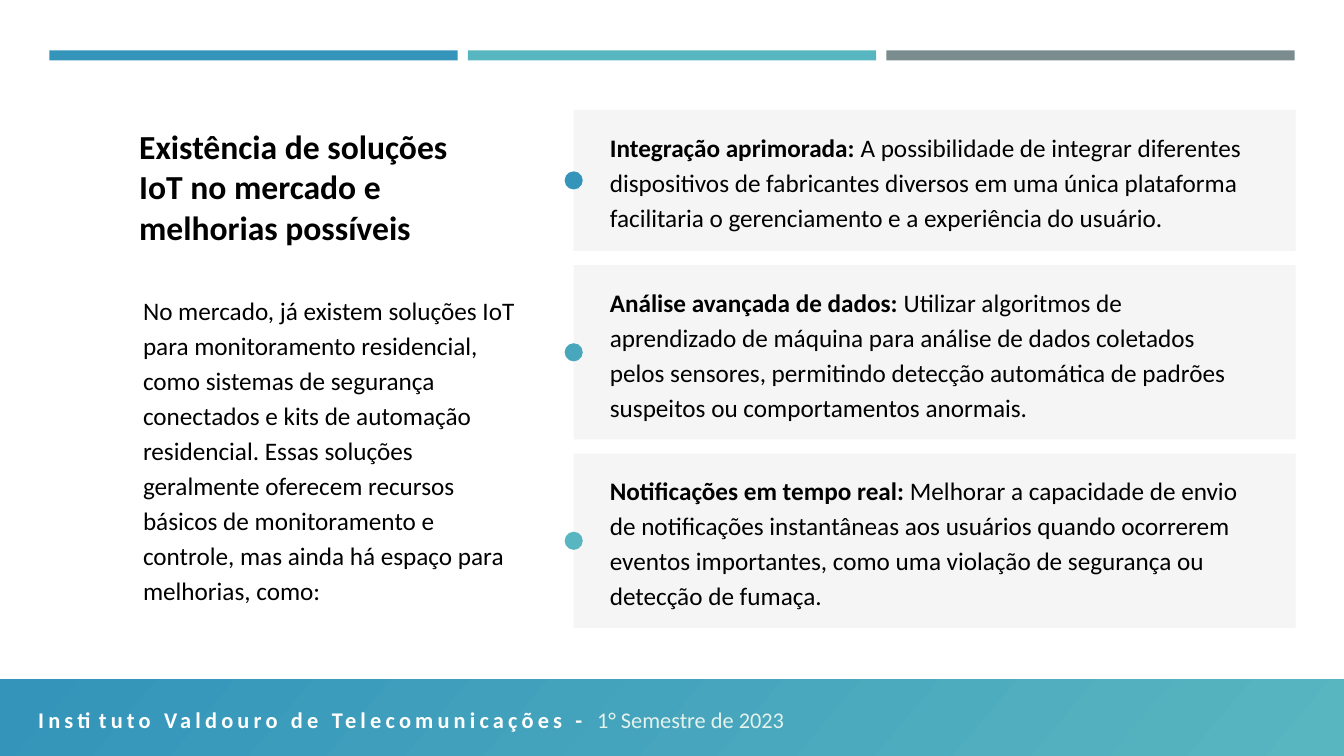
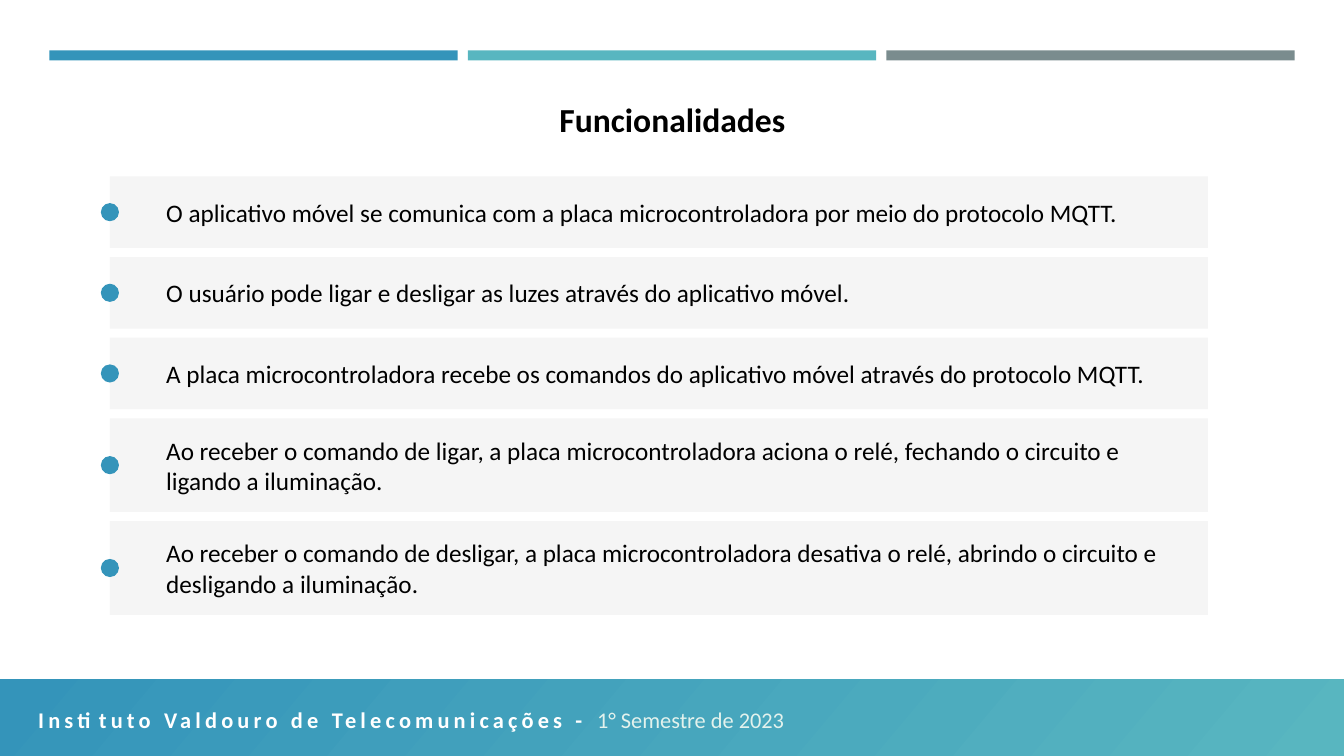
import dataclasses

import pptx
import pptx.dml.color
import pptx.enum.shapes
import pptx.enum.text
import pptx.util

Inches = pptx.util.Inches
Pt = pptx.util.Pt
Shape = pptx.enum.shapes.MSO_SHAPE
Align = pptx.enum.text.PP_ALIGN
Anchor = pptx.enum.text.MSO_ANCHOR


@dataclasses.dataclass(frozen=True)
class Theme:
    blue: str = "3494BA"
    blend: str = "48A7BD"
    teal: str = "58B6C0"
    gray: str = "7A8C8E"
    panel: str = "F5F5F5"
    ink: str = "000000"
    white: str = "FFFFFF"
    mint: str = "E3F2ED"
    font: str = "Calibri"
    title_size: int = 24
    body_size: int = 18
    footer_size: int = 16
    loose_line: int = 25


@dataclasses.dataclass(frozen=True)
class Grid:
    width: float = 13.33
    height: float = 7.5
    margin: float = 0.49
    gutter: float = 0.1
    columns: int = 3

    @property
    def column_width(self):
        inner = self.width - 2 * self.margin - (self.columns - 1) * self.gutter
        return inner / self.columns

    def column_left(self, index):
        return self.margin + index * (self.column_width + self.gutter)


@dataclasses.dataclass(frozen=True)
class CardStyle:
    """Geometry shared by one stack of cards."""
    left: float
    top: float
    width: float
    gap: float
    text_indent: float
    text_width: float
    line_points: int = 0


THEME = Theme()
GRID = Grid()
DOT = 0.18

FOOTER = ("Instituto Valdouro de Telecomunicações - ", "1° Semestre de 2023")
INTRO = (
    "No mercado, já existem soluções IoT para monitoramento residencial, como "
    "sistemas de segurança conectados e kits de automação residencial. Essas "
    "soluções geralmente oferecem recursos básicos de monitoramento e controle, "
    "mas ainda há espaço para melhorias, como:"
)

# Each card: height, dot colour, bold lead, body
IMPROVEMENTS = [
    (1.4, THEME.blue, "Integração aprimorada: ",
     "A possibilidade de integrar diferentes dispositivos de fabricantes diversos "
     "em uma única plataforma facilitaria o gerenciamento e a experiência do usuário."),
    (1.73, THEME.blend, "Análise avançada de dados: ",
     "Utilizar algoritmos de aprendizado de máquina para análise de dados coletados "
     "pelos sensores, permitindo detecção automática de padrões suspeitos ou "
     "comportamentos anormais."),
    (1.73, THEME.teal, "Notificações em tempo real: ",
     "Melhorar a capacidade de envio de notificações instantâneas aos usuários quando "
     "ocorrerem eventos importantes, como uma violação de segurança ou detecção de "
     "fumaça."),
]
FEATURES = [
    (0.71, THEME.blue, "",
     "O aplicativo móvel se comunica com a placa microcontroladora por meio do "
     "protocolo MQTT."),
    (0.71, THEME.blue, "",
     "O usuário pode ligar e desligar as luzes através do aplicativo móvel."),
    (0.71, THEME.blue, "",
     "A placa microcontroladora recebe os comandos do aplicativo móvel através do "
     "protocolo MQTT."),
    (0.93, THEME.blue, "",
     "Ao receber o comando de ligar, a placa microcontroladora aciona o relé, "
     "fechando o circuito e ligando a iluminação."),
    (0.93, THEME.blue, "",
     "Ao receber o comando de desligar, a placa microcontroladora desativa o relé, "
     "abrindo o circuito e desligando a iluminação."),
]


def rgb(value):
    return pptx.dml.color.RGBColor.from_string(value)


def place(box, left, top, width, height):
    box.left, box.top = Inches(left), Inches(top)
    box.width, box.height = Inches(width), Inches(height)


def format_span(span, size, color=THEME.ink, bold=False):
    span.font.name = THEME.font
    span.font.size = Pt(size)
    span.font.bold = bold
    span.font.color.rgb = rgb(color)


def add_span(para, text, size, color=THEME.ink, bold=False):
    span = para.add_run()
    span.text = text
    format_span(span, size, color, bold)
    return span


def add_solid(shapes, kind, area, color):
    shape = shapes.add_shape(kind, *map(Inches, area))
    shape.shadow.inherit = False
    shape.fill.solid()
    shape.fill.fore_color.rgb = rgb(color)
    shape.line.fill.background()
    return shape


def add_text_box(shapes, area, anchor=Anchor.TOP):
    box = shapes.add_textbox(*map(Inches, area))
    box.text_frame.word_wrap = True
    box.text_frame.vertical_anchor = anchor
    return box.text_frame.paragraphs[0]


def add_layout_bars(layout, slide):
    """Build the three top bars and move them to the layout behind all slides."""
    tree = layout.shapes.element
    for index, color in enumerate((THEME.blue, THEME.teal, THEME.gray)):
        area = (GRID.column_left(index), 0.5, GRID.column_width, 0.1)
        bar = add_solid(slide.shapes, Shape.RECTANGLE, area, color)
        bar.name = f"Top bar {index + 1}"
        bar.element.nvSpPr.cNvPr.set("id", str(100 + index))
        tree.append(bar.element)


def add_footer(slide):
    band_top = 6.74
    area = (0, band_top, GRID.width, GRID.height - band_top)
    band = add_solid(slide.shapes, Shape.RECTANGLE, area, THEME.blue)
    band.fill.gradient()
    band.fill.gradient_angle = 320
    for stop, color in zip(band.fill.gradient_stops, (THEME.blue, THEME.teal)):
        stop.color.rgb = rgb(color)

    para = add_text_box(slide.shapes, (0.28, 6.96, 10.92, 0.37))
    institute, term = FOOTER
    span = add_span(para, institute, THEME.footer_size, THEME.white, bold=True)
    span.font._element.set("spc", "300")
    add_span(para, term, THEME.footer_size, THEME.mint)


def set_title(slide, text, area, align):
    title = slide.shapes.title
    place(title, *area)
    frame = title.text_frame
    frame.text = text
    frame.word_wrap = True
    frame.auto_size = pptx.enum.text.MSO_AUTO_SIZE.NONE
    frame.vertical_anchor = Anchor.TOP
    para = frame.paragraphs[0]
    para.alignment = align
    format_span(para.runs[0], THEME.title_size, bold=True)


def add_card(slide, style, top, height, color, lead, body):
    shapes = slide.shapes.add_group_shape().shapes
    add_solid(shapes, Shape.RECTANGLE, (style.left, top, style.width, height), THEME.panel)

    text_area = (style.left + style.text_indent, top, style.text_width, height)
    para = add_text_box(shapes, text_area, Anchor.MIDDLE)
    if style.line_points:
        para.line_spacing = Pt(style.line_points)
    if lead:
        add_span(para, lead, THEME.body_size, bold=True)
    add_span(para, body, THEME.body_size)

    dot_area = (style.left - DOT / 2, top + (height - DOT) / 2, DOT, DOT)
    add_solid(shapes, Shape.OVAL, dot_area, color)


def add_card_stack(slide, style, cards):
    top = style.top
    for height, color, lead, body in cards:
        add_card(slide, style, top, height, color, lead, body)
        top += height + style.gap


def add_improvements(slide):
    set_title(slide, "Existência de soluções IoT no mercado e melhorias possíveis",
              (1.28, 1.2, 3.28, 1.31), Align.LEFT)
    para = add_text_box(slide.shapes, (1.32, 2.83, 3.92, 3.24))
    para.line_spacing = Pt(THEME.loose_line)
    add_span(para, INTRO, THEME.body_size)
    style = CardStyle(left=5.69, top=1.09, width=7.16, gap=0.14, text_indent=0.26,
                      text_width=6.55, line_points=THEME.loose_line)
    add_card_stack(slide, style, IMPROVEMENTS)


def add_features(slide):
    set_title(slide, "Funcionalidades", (2.36, 0.93, 8.62, 0.5), Align.CENTER)
    style = CardStyle(left=1.09, top=1.75, width=10.89, gap=0.09, text_indent=0.46,
                      text_width=10.05)
    add_card_stack(slide, style, FEATURES)


def main():
    deck = pptx.Presentation()
    deck.slide_width, deck.slide_height = Inches(GRID.width), Inches(GRID.height)
    layout = deck.slide_layouts.get_by_name("Title Only")

    for index, add_content in enumerate((add_improvements, add_features)):
        slide = deck.slides.add_slide(layout)
        if index == 0:
            add_layout_bars(layout, slide)
        add_footer(slide)
        add_content(slide)

    deck.save("out.pptx")


if __name__ == "__main__":
    main()
